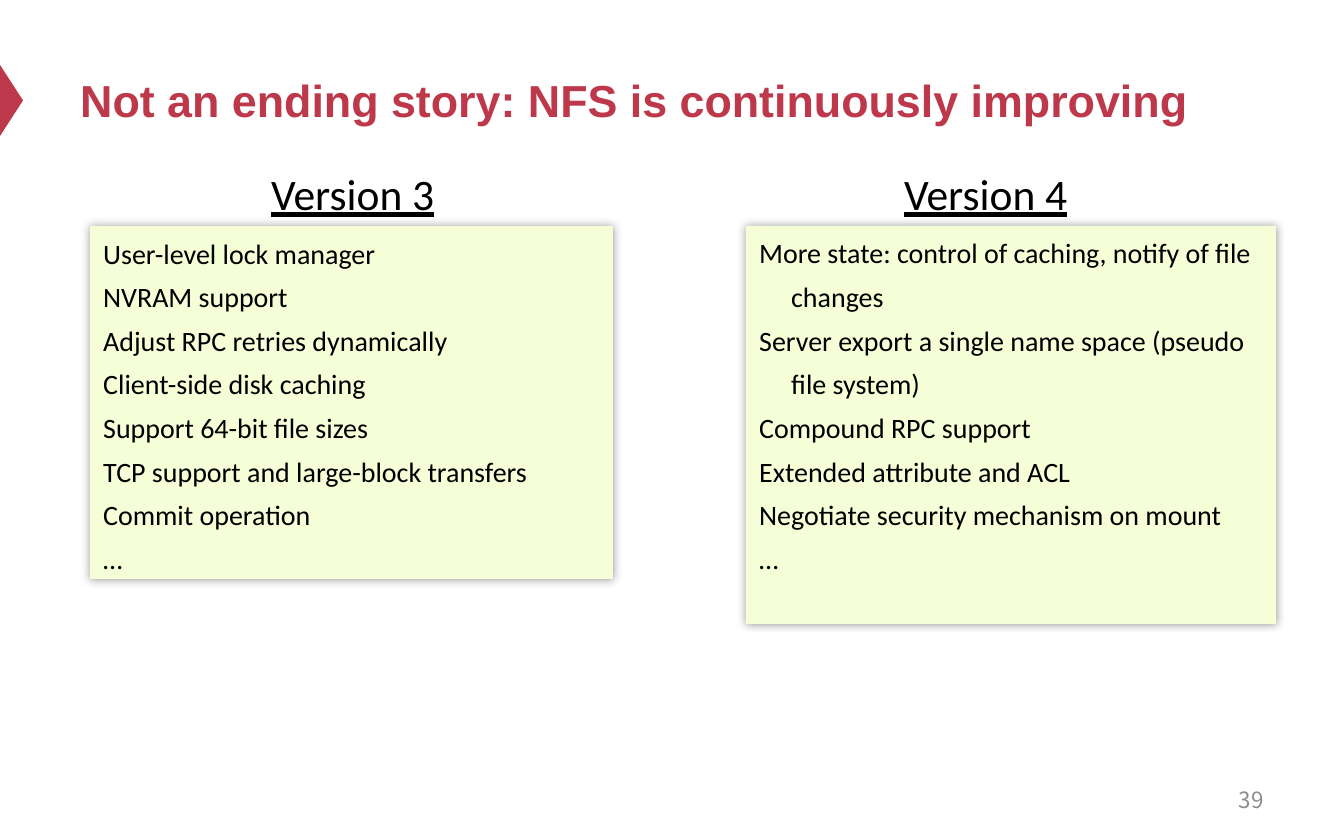
from lxml.etree import SubElement
from pptx import Presentation
from pptx.dml.color import RGBColor
from pptx.enum.shapes import MSO_SHAPE as Shape
from pptx.enum.text import MSO_ANCHOR as Anchor, PP_ALIGN as Align
from pptx.oxml.ns import qn
from pptx.util import Pt

RED = RGBColor(0xBE, 0x38, 0x4B)
LIME = RGBColor(0xF5, 0xFE, 0xD6)
GREY = RGBColor(0x8C, 0x8C, 0x8C)
BLACK = RGBColor(0, 0, 0)

# Content
TITLE = "Not an ending story: NFS is continuously improving"
PAGE = "39"
# heading, heading left, card left, card width, card height, items
CARDS = [
    ("Version 3", 258, 90, 523, 353, [
        "User-level lock manager",
        "NVRAM support",
        "Adjust RPC retries dynamically",
        "Client-side disk caching",
        "Support 64-bit file sizes",
        "TCP support and large-block transfers",
        "Commit operation",
        "…",
    ]),
    ("Version 4", 891, 746, 530, 398, [
        "More state: control of caching, notify of file changes",
        "Server export a single name space (pseudo file system)",
        "Compound RPC support",
        "Extended attribute and ACL",
        "Negotiate security mechanism on mount",
        "…",
    ]),
]

# Formats
HEAD = dict(name="Arial", size=Pt(24), bold=True)
SUB = dict(name="Calibri", size=Pt(23.3), underline=True)
BODY = dict(name="Calibri", size=Pt(15))
FOOT = dict(name="Noto Sans CJK SC", size=Pt(12))
SCALE = 914400 / 134.4


def px(n):
    return round(n * SCALE)


def write(shape, lines, font, color, align=Align.LEFT, gap=1.0, hang=0,
          anchor=Anchor.TOP):
    frame = shape.text_frame
    frame.word_wrap = True
    frame.vertical_anchor = anchor
    frame.text = "\n".join(lines)
    for para in frame.paragraphs:
        para.alignment = align
        para.line_spacing = gap
        if hang:
            props = para._p.get_or_add_pPr()
            props.set("marL", str(px(hang)))
            props.set("indent", str(px(-hang)))
        run = para.runs[0]
        for key, value in font.items():
            setattr(run.font, key, value)
        run.font.color.rgb = color
    return frame


def label(slide, box, text, font, color, **opts):
    shape = slide.shapes.add_textbox(*map(px, box))
    write(shape, [text], font, color, **opts)


def block(slide, kind, box, color):
    shape = slide.shapes.add_shape(kind, *map(px, box))
    shape.shadow.inherit = False
    shape.fill.solid()
    shape.fill.fore_color.rgb = color
    shape.line.fill.background()
    return shape


def glow(shape):
    """Soft black shadow on all sides."""
    effects = shape._element.spPr.find(qn("a:effectLst"))
    shade = SubElement(effects, qn("a:outerShdw"), blurRad=str(Pt(5)),
                       dist="0", dir="0", algn="ctr", rotWithShape="0")
    tint = SubElement(shade, qn("a:srgbClr"), val=str(BLACK))
    SubElement(tint, qn("a:alpha"), val="40000")


def main():
    deck = Presentation()
    deck.slide_width, deck.slide_height = px(1344), px(840)
    slide = deck.slides.add_slide(deck.slide_layouts[6])

    # Title with edge marker
    mark = block(slide, Shape.ISOSCELES_TRIANGLE, (-24, 89, 71, 23), RED)
    mark.rotation = 90
    label(slide, (67, 34, 1210, 132), TITLE, HEAD, RED, anchor=Anchor.MIDDLE)

    # Page number
    label(slide, (964, 778, 313, 44), PAGE, FOOT, GREY, align=Align.RIGHT,
          anchor=Anchor.MIDDLE)

    # Version cards
    for name, x, left, width, height, items in CARDS:
        card = block(slide, Shape.RECTANGLE, (left, 226, width, height), LIME)
        glow(card)
        frame = write(card, items, BODY, BLACK, gap=1.3, hang=32)
        frame.margin_top, frame.margin_bottom = 0, px(4)
        label(slide, (x, 134, 211, 85), name, SUB, BLACK, gap=1.5)

    deck.save("out.pptx")


if __name__ == "__main__":
    main()
